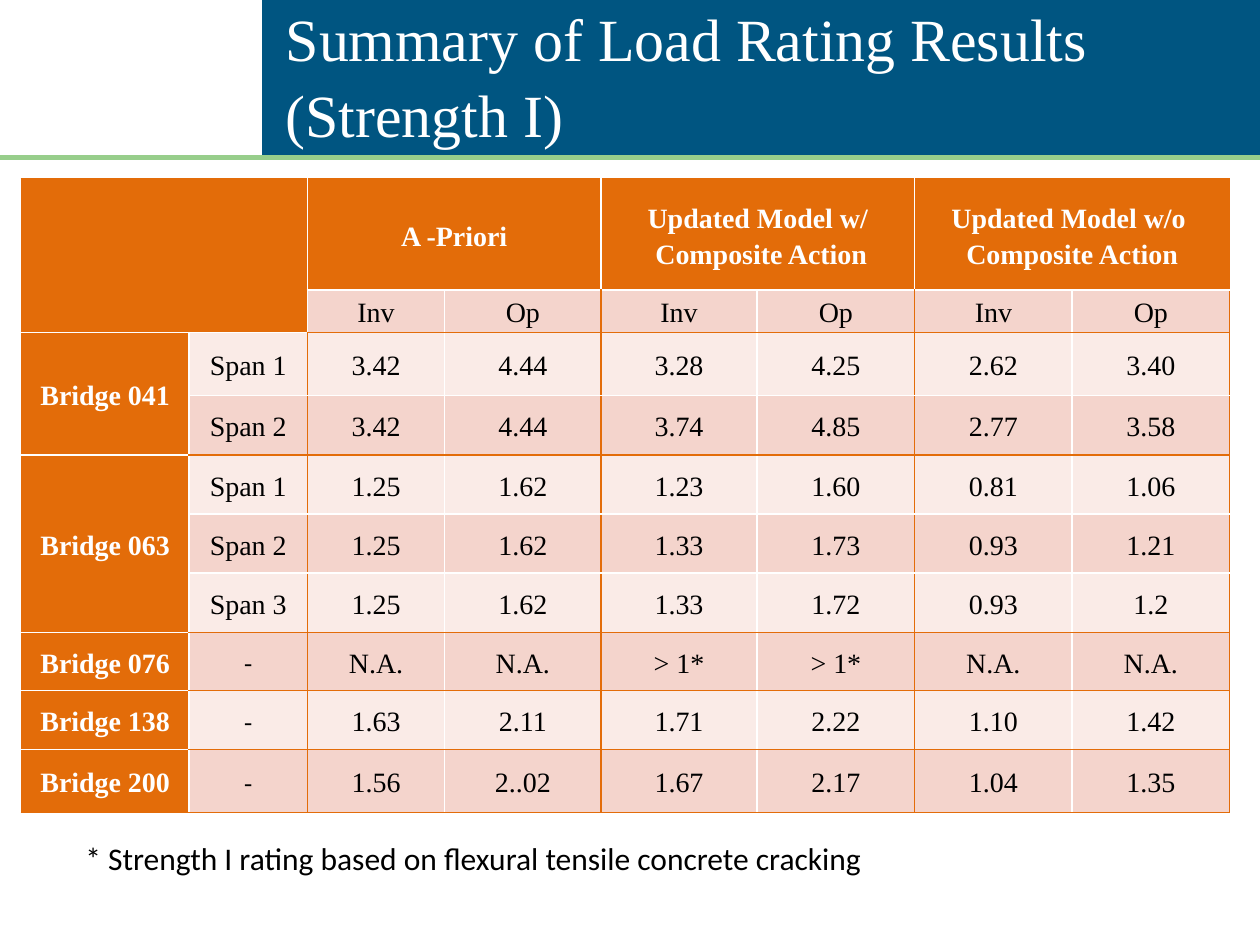
from lxml import etree
from pptx import Presentation
from pptx import util as u
from pptx.dml.color import RGBColor
from pptx.enum import shapes, text
from pptx.oxml import ns

TITLE = ["Summary of Load Rating Results", "(Strength I)"]
NOTE = "* Strength I rating based on flexural tensile concrete cracking"
MODELS = [
    ["A -Priori"],
    ["Updated Model w/", " Composite Action"],
    ["Updated Model w/o ", "Composite Action"],
]
LEVELS = ["Inv", "Op"]
BRIDGES = [
    ("Bridge 041", [
        ["Span 1", "3.42", "4.44", "3.28", "4.25", "2.62", "3.40"],
        ["Span 2", "3.42", "4.44", "3.74", "4.85", "2.77", "3.58"]]),
    ("Bridge 063", [
        ["Span 1", "1.25", "1.62", "1.23", "1.60", "0.81", "1.06"],
        ["Span 2", "1.25", "1.62", "1.33", "1.73", "0.93", "1.21"],
        ["Span 3", "1.25", "1.62", "1.33", "1.72", "0.93", "1.2"]]),
    ("Bridge 076", [["-", "N.A.", "N.A.", "> 1*", "> 1*", "N.A.", "N.A."]]),
    ("Bridge 138", [["-", "1.63", "2.11", "1.71", "2.22", "1.10", "1.42"]]),
    ("Bridge 200", [["-", "1.56", "2..02", "1.67", "2.17", "1.04", "1.35"]]),
]
COLS = [1.33, 0.94, 1.09, 1.24, 1.24, 1.25, 1.25, 1.25]
ROWS = [0.88, 0.34, 0.5, 0.47, 0.47, 0.47, 0.47, 0.46, 0.47, 0.5]
THEME = {
    "blue": "005581", "green": "97CE8B", "orange": "E36C09",
    "pink": "F4D4CC", "pale": "FAEBE7", "white": "FFFFFF", "black": "000000",
    "serif": "Times New Roman", "sans": "Calibri",
    "title": 34.2, "note": 18, "cell": 16, "dash": 14,
}
HEADS = 2  # header rows, and also the label columns at the left


def tint(name):
    return RGBColor.from_string(THEME[name])


def add_run(para, words, size, color, face="serif", bold=False):
    run = para.add_run()
    run.text = words
    font = run.font
    font.name, font.size, font.bold = THEME[face], u.Pt(THEME[size]), bold
    font.color.rgb = tint(color)


def add_box(slide, left, top, width, height, wrap):
    box = slide.shapes.add_textbox(*map(u.Inches, (left, top, width, height)))
    frame = box.text_frame
    frame.word_wrap = wrap
    frame.vertical_anchor = text.MSO_ANCHOR.MIDDLE
    return frame


def add_banner(slide):
    bar = slide.shapes.add_shape(shapes.MSO_SHAPE.RECTANGLE, u.Inches(2.08), 0,
                                 u.Inches(7.92), u.Inches(1.25))
    bar.shadow.inherit = False
    bar.fill.solid()
    bar.fill.fore_color.rgb = tint("blue")
    bar.line.fill.background()

    rule = slide.shapes.add_connector(shapes.MSO_CONNECTOR.STRAIGHT, 0, u.Inches(1.25),
                                      u.Inches(10), u.Inches(1.25))
    rule.line.color.rgb = tint("green")
    rule.line.width = u.Pt(3)
    etree.SubElement(rule._element.spPr, ns.qn("a:effectLst"))

    para = add_box(slide, 2.17, 0.17, 7.67, 0.83, True).paragraphs[0]
    para.line_spacing = 1.05
    for i, line in enumerate(TITLE):
        if i:
            para.add_line_break()
        add_run(para, line, "title", "white")


def flat_edge(row, col, starts):
    """Colour of the line above a cell."""
    if row in (0, len(ROWS)):
        return "orange"
    if col == 0 or (col == 1 and row == HEADS):
        return "white"
    return "orange" if row in starts else "white"


def side_edge(row, col):
    """Colour of the line left of a cell."""
    if col in (0, len(COLS)):
        return "orange"
    body = row >= HEADS or (row == 1 and col > HEADS)
    return "orange" if col % 2 == 0 and body else "white"


def set_edges(cell, colors):
    props = cell._tc.get_or_add_tcPr()
    for i, (tag, color) in enumerate(zip(("lnL", "lnR", "lnT", "lnB"), colors)):
        line = etree.Element(ns.qn("a:" + tag), w=str(u.Pt(1)))
        fill = etree.SubElement(line, ns.qn("a:solidFill"))
        etree.SubElement(fill, ns.qn("a:srgbClr"), val=THEME[color])
        props.insert(i, line)


def add_ratings(slide):
    frame = slide.shapes.add_table(len(ROWS), len(COLS), u.Inches(0.17), u.Inches(1.42),
                                   u.Inches(sum(COLS)), u.Inches(sum(ROWS)))
    table = frame.table
    for col, width in zip(table.columns, COLS):
        col.width = u.Inches(width)
    for row, height in zip(table.rows, ROWS):
        row.height = u.Inches(height)

    starts = set()
    row = HEADS
    for _, spans in BRIDGES:
        starts.add(row)
        row += len(spans)

    def put(row, col, lines, fill, tall=1, wide=1):
        cell = table.cell(row, col)
        if tall * wide > 1:
            cell.merge(table.cell(row + tall - 1, col + wide - 1))
        cell.fill.solid()
        cell.fill.fore_color.rgb = tint(fill)
        set_edges(cell, (side_edge(row, col), side_edge(row, col + wide),
                         flat_edge(row, col, starts), flat_edge(row + tall, col, starts)))
        cell.vertical_anchor = text.MSO_ANCHOR.MIDDLE
        cell.margin_left = cell.margin_right = u.Inches(0.07)
        cell.margin_top = cell.margin_bottom = 0
        head = fill == "orange"
        for i, line in enumerate(lines):
            para = cell.text_frame.add_paragraph() if i else cell.text_frame.paragraphs[0]
            para.alignment = text.PP_ALIGN.CENTER
            para.line_spacing = 1.15
            add_run(para, line, "dash" if line == "-" else "cell",
                    "white" if head else "black", bold=head)

    put(0, 0, [], "orange", HEADS, HEADS)
    for i, model in enumerate(MODELS):
        left = HEADS + i * len(LEVELS)
        put(0, left, model, "orange", wide=len(LEVELS))
        for j, level in enumerate(LEVELS):
            put(1, left + j, [level], "pink")
    row = HEADS
    for name, spans in BRIDGES:
        put(row, 0, [name], "orange", len(spans))
        for span in spans:
            for col, value in enumerate(span, 1):
                put(row, col, [value], "pink" if row % 2 else "pale")
            row += 1


def main():
    deck = Presentation()
    deck.slide_width, deck.slide_height = u.Inches(10), u.Inches(7.5)
    slide = deck.slides.add_slide(deck.slide_layouts[6])
    add_banner(slide)
    note = add_box(slide, 0.58, 6.61, 6.44, 0.4, False)
    add_run(note.paragraphs[0], NOTE, "note", "black", "sans")
    add_ratings(slide)
    deck.save("out.pptx")


if __name__ == "__main__":
    main()
